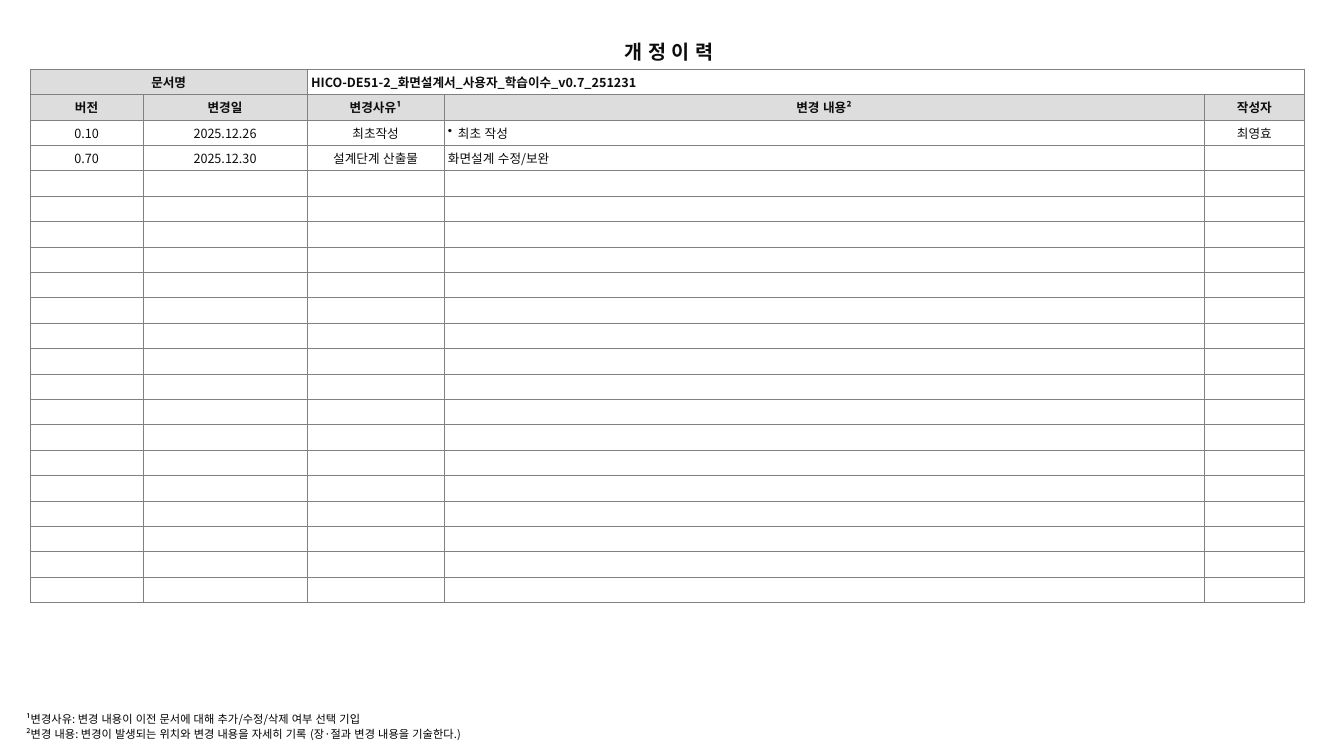
from pptx import Presentation
from pptx.dml.color import RGBColor
from pptx.enum.lang import MSO_LANGUAGE_ID as Lang
from pptx.enum.text import MSO_ANCHOR as Anchor, MSO_AUTO_SIZE as AutoSize, PP_ALIGN as Align
from pptx.oxml.ns import qn
from pptx.util import Cm, Pt
from lxml.etree import SubElement

# Content
TITLE = "개 정 이 력"
DOC_LABEL = "문서명"
DOC_NAME = "HICO-DE51-2_화면설계서_사용자_학습이수_v0.7_251231"
HEADERS = ["버전", "변경일", "변경사유¹", "변경 내용²", "작성자"]
REVISIONS = [
    ("0.10", "2025.12.26", "최초작성", "최초 작성", "최영효"),
    ("0.70", "2025.12.30", "설계단계 산출물", "화면설계 수정/보완", ""),
]
BULLETED = {"최초 작성"}
NOTES = [
    "¹변경사유: 변경 내용이 이전 문서에 대해 추가/수정/삭제 여부 선택 기입",
    "²변경 내용: 변경이 발생되는 위치와 변경 내용을 자세히 기록 (장·절과 변경 내용을 기술한다.)",
]

# Format
FONT = "Noto Sans CJK KR"
INK = RGBColor(0x0D, 0x0D, 0x0D)
BLACK = RGBColor(0, 0, 0)
HEAD_FILL = RGBColor(0xDD, 0xDD, 0xDD)
BORDER = RGBColor(0x80, 0x80, 0x80)
COL_WIDTHS = [2.84, 4.14, 3.45, 19.15, 2.54]
ROW_COUNT, ROW_HEIGHT = 21, 0.64
DETAIL_COL = 3


def add_text(p, text, size=9, bold=False, color=INK, align=Align.LEFT, before=0):
    p.alignment = align
    p.space_before = Pt(before)
    r = p.add_run()
    r.text = text
    r.font.name, r.font.size, r.font.bold = FONT, Pt(size), bold
    r.font.color.rgb = color
    r.font.language_id = Lang.KOREAN
    SubElement(r.font._element, qn("a:ea"), typeface=FONT)


def add_bullet(p, indent):
    pPr = p._p.get_or_add_pPr()
    pPr.set("marL", str(indent))
    pPr.set("indent", str(-indent))
    SubElement(pPr, qn("a:buChar"), char="•")


def format_cell(cell, fill=None):
    cell.vertical_anchor = Anchor.MIDDLE
    cell.margin_left = cell.margin_right = Cm(0.1)
    cell.margin_top = cell.margin_bottom = Cm(0.08)
    tcPr = cell._tc.get_or_add_tcPr()
    for side in ("a:lnL", "a:lnR", "a:lnT", "a:lnB"):
        ln = SubElement(tcPr, qn(side), w=str(Pt(0.5)))
        SubElement(SubElement(ln, qn("a:solidFill")), qn("a:srgbClr"), val=str(BORDER))
    if fill is None:
        cell.fill.background()
    else:
        cell.fill.solid()
        cell.fill.fore_color.rgb = fill


prs = Presentation()
prs.slide_width, prs.slide_height = Cm(33.87), Cm(19.05)
s = prs.slides.add_slide(prs.slide_layouts[5])

# Title
sp = s.shapes.title
sp.left, sp.top, sp.width, sp.height = Cm(8.92), Cm(0.86), Cm(15.88), Cm(0.86)
tf = sp.text_frame
tf.auto_size, tf.vertical_anchor = AutoSize.NONE, Anchor.MIDDLE
add_text(tf.paragraphs[0], TITLE, size=14, bold=True, align=Align.CENTER)

# Revision table
table = s.shapes.add_table(ROW_COUNT, len(HEADERS), Cm(0.76), Cm(1.74),
                           Cm(sum(COL_WIDTHS)), Cm(ROW_COUNT * ROW_HEIGHT)).table
table.first_row = table.horz_banding = False
for col, width in zip(table.columns, COL_WIDTHS):
    col.width = Cm(width)
for row in table.rows:
    row.height = Cm(ROW_HEIGHT)

rows = [(DOC_LABEL, "", DOC_NAME, "", ""), HEADERS, *REVISIONS]
rows += [[""] * len(HEADERS)] * (ROW_COUNT - len(rows))
for i, texts in enumerate(rows):
    for j, text in enumerate(texts):
        cell = table.cell(i, j)
        is_head = i == 1 or (i == 0 and j < 2)
        format_cell(cell, HEAD_FILL if is_head else None)
        p = cell.text_frame.paragraphs[0]
        if not text:
            SubElement(p._p, qn("a:endParaRPr"), sz="900")
            continue
        is_left = text == DOC_NAME or (i > 1 and j == DETAIL_COL)
        if text in BULLETED:
            add_bullet(p, Cm(0.25))
            p.space_before = Pt(0)
        add_text(p, text, bold=i < 2, align=Align.LEFT if is_left else Align.CENTER)
table.cell(0, 0).merge(table.cell(0, 1))
table.cell(0, 2).merge(table.cell(0, 4))

# Footnotes
tf = s.shapes.add_textbox(Cm(0.41), Cm(17.88), Cm(12.47), Cm(1.04)).text_frame
tf.word_wrap = True
tf.margin_top = Cm(0.08)
for i, note in enumerate(NOTES):
    p = tf.add_paragraph() if i else tf.paragraphs[0]
    add_text(p, note, size=8, color=BLACK, before=0.6 if i else 0)

prs.save("out.pptx")
